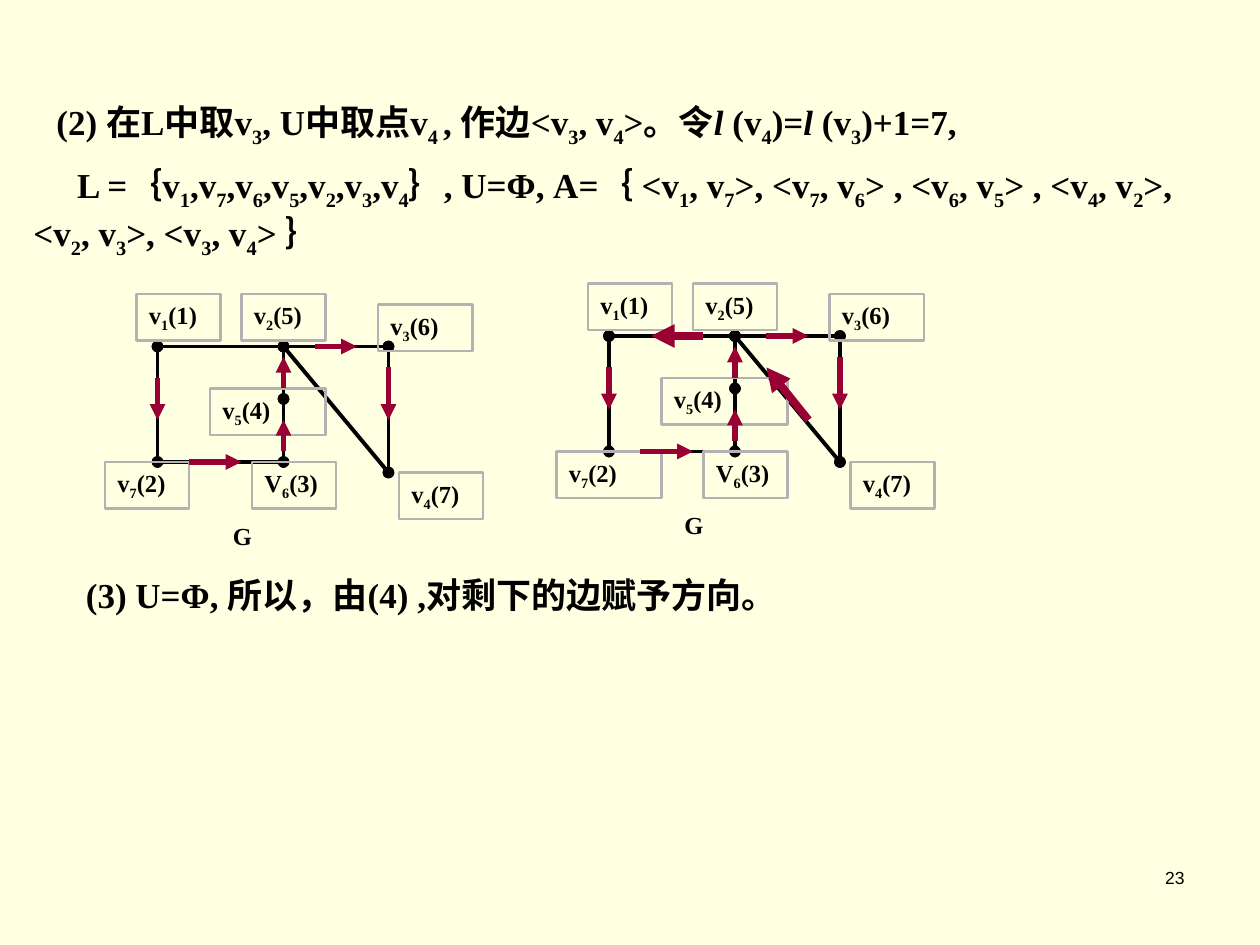
from lxml import etree
from pptx import Presentation
from pptx import util as u
from pptx.dml.color import RGBColor
from pptx.enum import shapes, text
from pptx.oxml import ns

COLORS = {"paper": "FFFFE1", "ink": "000000", "frame": "B2B2B2", "arrow": "990033"}
UNIT = u.Inches(10) // 120  # the slide is a grid of 120 columns by 90 rows


def write(frame, content, size, font="Times New Roman", bold=True, indent=0,
          align=text.PP_ALIGN.LEFT):
    """Fill a frame; _x_ marks a subscript and *x* marks italics."""
    settings = {"word_wrap": True, "auto_size": text.MSO_AUTO_SIZE.NONE,
                "vertical_anchor": text.MSO_ANCHOR.TOP}
    for name, value in settings.items():
        setattr(frame, name, value)
    paragraph = frame.paragraphs[0]
    paragraph.alignment = align
    if indent:
        paragraph._p.get_or_add_pPr().set("indent", str(u.Pt(indent)))
    for i, level in enumerate(content.split("_")):
        for j, part in enumerate(level.split("*")):
            if not part:
                continue
            run = paragraph.add_run()
            run.text = part
            style = {"name": font, "size": u.Pt(size), "bold": bold, "italic": j % 2 == 1}
            for name, value in style.items():
                setattr(run.font, name, value)
            run.font.color.rgb = RGBColor.from_string(COLORS["ink"])
            if i % 2:
                run._r.get_or_add_rPr().set("baseline", "-25000")


def draw_line(group, start, end, color, weight, ends):
    """Draw a line between grid points; ends maps headEnd and tailEnd to a type."""
    line = group.shapes.add_connector(shapes.MSO_CONNECTOR.STRAIGHT,
                                      *(v * UNIT for v in (*start, *end)))
    line.line.color.rgb = RGBColor.from_string(COLORS[color])
    line.line.width = u.Pt(weight)
    for tag, kind in ends.items():
        etree.SubElement(line.line._get_or_add_ln(), ns.qn(f"a:{tag}"), type=kind)
    etree.SubElement(line._element.spPr, ns.qn("a:effectLst"))
    return line


prs = Presentation()
prs.slide_width, prs.slide_height = 120 * UNIT, 90 * UNIT
slide = prs.slides.add_slide(prs.slide_layouts[5])
slide.background.fill.solid()
slide.background.fill.fore_color.rgb = RGBColor.from_string(COLORS["paper"])

number = slide.shapes.add_textbox(89 * UNIT, 82 * UNIT, 25 * UNIT, 6 * UNIT)
write(number.text_frame, "23", 10, "Arial", False, align=text.PP_ALIGN.RIGHT)

step_two = slide.shapes.title
place = {"left": 0, "top": 9 * UNIT, "width": 116 * UNIT, "height": u.Inches(0.48)}
for name, value in place.items():
    setattr(step_two, name, value)
write(step_two.text_frame,
      "(2) 在L中取v_3_, U中取点v_4 _, 作边<v_3_, v_4_>。令*l *(v_4_)=*l *(v_3_)+1=7,",
      20, indent=25)

statements = [
    (15, 0.86, 25,
     "L =｛v_1_,v_7_,v_6_,v_5_,v_2_,v_3_,v_4_｝, U=Φ, A=｛ <v_1_, v_7_>, <v_7_, v_6_> , "
     "<v_6_, v_5_> , <v_4_, v_2_>, <v_2_, v_3_>, <v_3_, v_4_> ｝"),
    (54, 0.44, 30, "(3) U=Φ, 所以，由(4) ,对剩下的边赋予方向。"),
]
for row, height, indent, content in statements:
    statement = slide.shapes.add_textbox(2 * UNIT, row * UNIT, 116 * UNIT, u.Inches(height))
    write(statement.text_frame, content, 20, indent=indent)

# Graph coordinates are grid steps from vertex 1.
vertices = {1: (0, 0), 2: (12, 0), 3: (22, 0), 4: (22, 12), 5: (12, 5), 6: (12, 11), 7: (0, 11)}
edges = [(1, 7), (7, 6), (1, 2), (2, 5), (5, 6), (2, 3), (3, 4), (2, 4)]
labels = {2: ("v_2_(5)", 8, -5, 8), 1: ("v_1_(1)", -2, -5, 8), 6: ("V_6_(3)", 9, 11, 8),
          5: ("v_5_(4)", 5, 4, 11), 4: ("v_4_(7)", 23, 12, 8), 3: ("v_3_(6)", 21, -4, 9),
          7: ("v_7_(2)", -5, 11, 8)}
tree_arrows = [((0, 3), (0, 7)), ((3, 11), (8, 11)), ((12, 10), (12, 7)),
               ((12, 4), (12, 1)), ((15, 0), (19, 0)), ((22, 2), (22, 7))]
back_arrows = [((19, 8), (15, 3)), ((9, 0), (4, 0))]

graphs = [  # column and row of vertex 1, wider labels, remaining directed edges
    (15, 33, {}, []),
    (58, 32, {5: 12, 7: 10}, back_arrows),
]
for col, row, wider, extra_arrows in graphs:
    group = slide.shapes.add_group_shape()
    caption = group.shapes.add_textbox((col + 6) * UNIT, (row + 16) * UNIT,
                                       u.Inches(0.85), u.Inches(0.34))
    write(caption.text_frame, "G", 14)

    points = {v: (col + x, row + y) for v, (x, y) in vertices.items()}
    edge_lines = {(a, b): draw_line(group, points[a], points[b], "ink", 2.25,
                                    {"headEnd": "oval", "tailEnd": "oval"})
                  for a, b in edges}

    for vertex, (content, x, y, width) in labels.items():
        width = wider.get(vertex, width)
        label = group.shapes.add_shape(shapes.MSO_SHAPE.RECTANGLE, (col + x) * UNIT,
                                       (row + y) * UNIT, width * UNIT, u.Inches(0.37))
        label.shadow.inherit = False
        label.fill.background()
        label.line.color.rgb = RGBColor.from_string(COLORS["frame"])
        label.line.width = u.Pt(1.5)
        write(label.text_frame, content, 14)
        if (x + width / 2, y) == vertices[vertex]:
            for (a, b), edge in edge_lines.items():
                if a == vertex:
                    edge.begin_connect(label, 0)
                if b == vertex:
                    edge.end_connect(label, 0)

    for arrows, weight in ((tree_arrows, 3), (extra_arrows, 4.5)):
        for (x1, y1), (x2, y2) in arrows:
            draw_line(group, (col + x1, row + y1), (col + x2, row + y2),
                      "arrow", weight, {"tailEnd": "triangle"})

prs.save("out.pptx")
